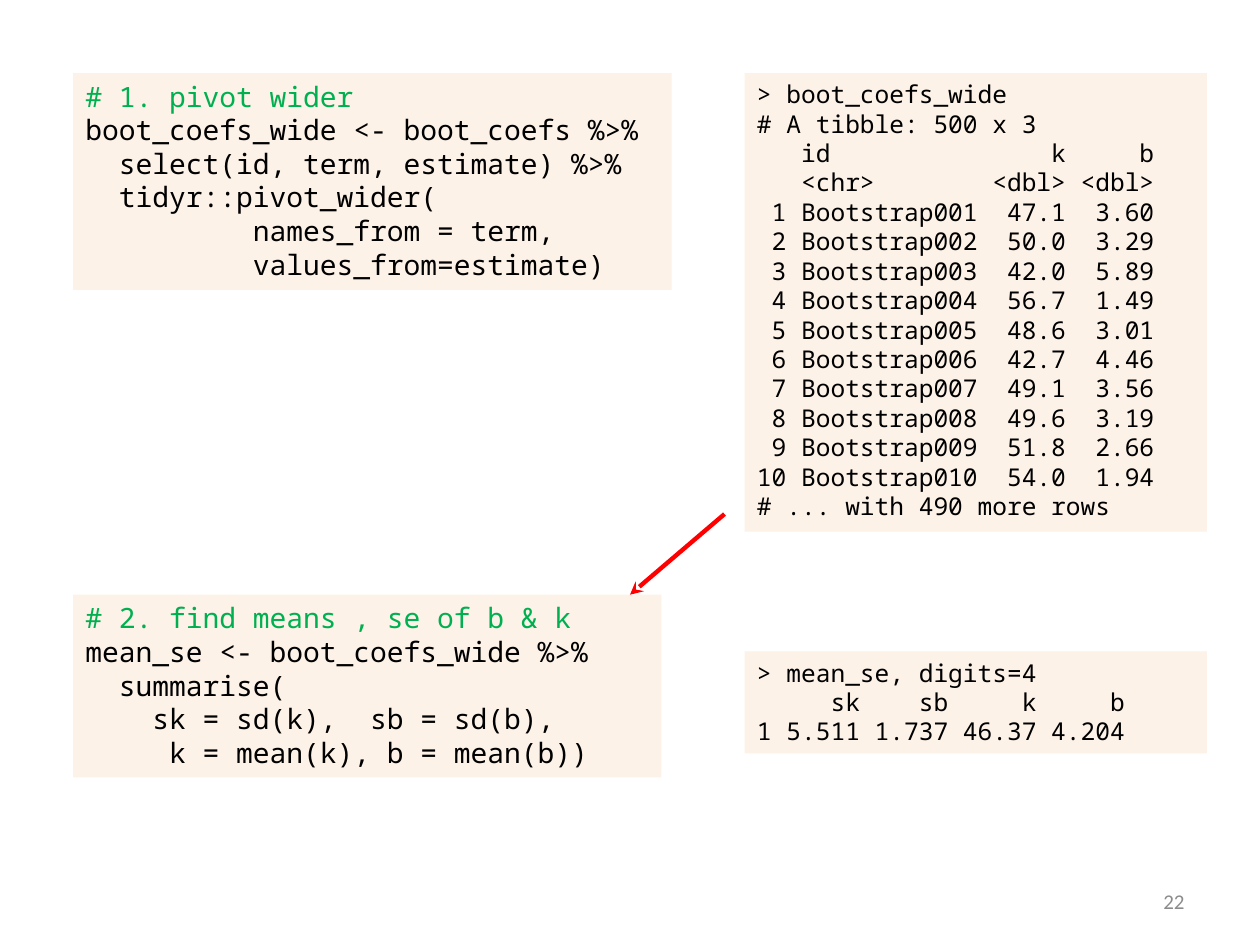
from dataclasses import dataclass

from lxml import etree
from pptx import Presentation
from pptx.dml.color import RGBColor
from pptx.enum.shapes import MSO_CONNECTOR
from pptx.enum.text import MSO_ANCHOR, MSO_AUTO_SIZE, PP_ALIGN
from pptx.oxml.ns import qn
from pptx.util import Inches, Pt

STRAIGHT = MSO_CONNECTOR.STRAIGHT
MIDDLE = MSO_ANCHOR.MIDDLE
GROW = MSO_AUTO_SIZE.SHAPE_TO_FIT_TEXT
RIGHT = PP_ALIGN.RIGHT


@dataclass(frozen=True)
class Theme:
    """Colours, fonts and type sizes of the slide."""
    panel: RGBColor = RGBColor(0xFD, 0xEA, 0xDA)
    alpha: int = 60
    ink: RGBColor = RGBColor(0, 0, 0)
    note: RGBColor = RGBColor(0x00, 0xB0, 0x50)
    arrow: RGBColor = RGBColor(0xFF, 0, 0)
    muted: RGBColor = RGBColor(0x8C, 0x8C, 0x8C)
    mono: str = "Noto Sans Mono"
    sans: str = "Calibri"
    code: Pt = Pt(16)
    output: Pt = Pt(14)
    small: Pt = Pt(12)
    stroke: Pt = Pt(2.5)


THEME = Theme()

PIVOT = """# 1. pivot wider
boot_coefs_wide <- boot_coefs %>%
  select(id, term, estimate) %>%
  tidyr::pivot_wider(
          names_from = term,
          values_from=estimate)"""

WIDE = """> boot_coefs_wide
# A tibble: 500 x 3
   id               k     b
   <chr>        <dbl> <dbl>
 1 Bootstrap001  47.1  3.60
 2 Bootstrap002  50.0  3.29
 3 Bootstrap003  42.0  5.89
 4 Bootstrap004  56.7  1.49
 5 Bootstrap005  48.6  3.01
 6 Bootstrap006  42.7  4.46
 7 Bootstrap007  49.1  3.56
 8 Bootstrap008  49.6  3.19
 9 Bootstrap009  51.8  2.66
10 Bootstrap010  54.0  1.94
# ... with 490 more rows"""

MEANS = """# 2. find means , se of b & k
mean_se <- boot_coefs_wide %>%
  summarise(
    sk = sd(k),  sb = sd(b),
     k = mean(k), b = mean(b))"""

RESULT = """> mean_se, digits=4
     sk    sb     k     b
1 5.511 1.737 46.37 4.204"""


def style(para, face, size, color):
    """Set the font of every run in a paragraph."""
    for run in para.runs:
        run.font.name = face
        run.font.size = size
        run.font.color.rgb = color


def add_panel(slide, box, text, size, first=THEME.ink):
    """Place a tinted panel of code whose first line has its own colour."""
    panel = slide.shapes.add_textbox(*map(Inches, box))
    panel.fill.solid()
    panel.fill.fore_color.rgb = THEME.panel
    tint = panel.fill._xPr.find(qn("a:solidFill"))[0]
    etree.SubElement(tint, qn("a:alpha"), val=str(THEME.alpha * 1000))
    frame = panel.text_frame
    frame.word_wrap = True
    frame.auto_size = GROW
    frame.text = text
    for i, para in enumerate(frame.paragraphs):
        style(para, THEME.mono, size, THEME.ink if i else first)


def add_arrow(slide, start, end):
    """Draw a stealth-headed arrow between two points."""
    arrow = slide.shapes.add_connector(STRAIGHT, *map(Inches, start + end))
    arrow.line.color.rgb = THEME.arrow
    arrow.line.width = THEME.stroke
    etree.SubElement(arrow.line._get_or_add_ln(), qn("a:tailEnd"), type="stealth")
    etree.SubElement(arrow._element.spPr, qn("a:effectLst"))


def add_number(slide, box, text):
    """Place the slide number."""
    frame = slide.shapes.add_textbox(*map(Inches, box)).text_frame
    frame.word_wrap = True
    frame.vertical_anchor = MIDDLE
    frame.text = text
    para = frame.paragraphs[0]
    para.alignment = RIGHT
    style(para, THEME.sans, THEME.small, THEME.muted)


def main():
    """Build and save the slide."""
    deck = Presentation()
    deck.slide_width, deck.slide_height = Inches(10), Inches(7.5)
    slide = deck.slides.add_slide(deck.slide_layouts[6])
    left, right, top, wide = 0.58, 5.91, 0.58, 3.67
    add_number(slide, (7.17, 6.95, 2.33, 0.4), "22")
    add_panel(slide, (left, top, 4.75, 1.72), PIVOT, THEME.code, THEME.note)
    add_panel(slide, (right, top, wide, 3.64), WIDE, THEME.output)
    add_panel(slide, (left, 4.72, 4.67, 1.45), MEANS, THEME.code, THEME.note)
    add_panel(slide, (right, 5.17, wide, 0.81), RESULT, THEME.output)
    add_arrow(slide, (5.75, 4.08), (5, 4.72))
    deck.save("out.pptx")


if __name__ == "__main__":
    main()
